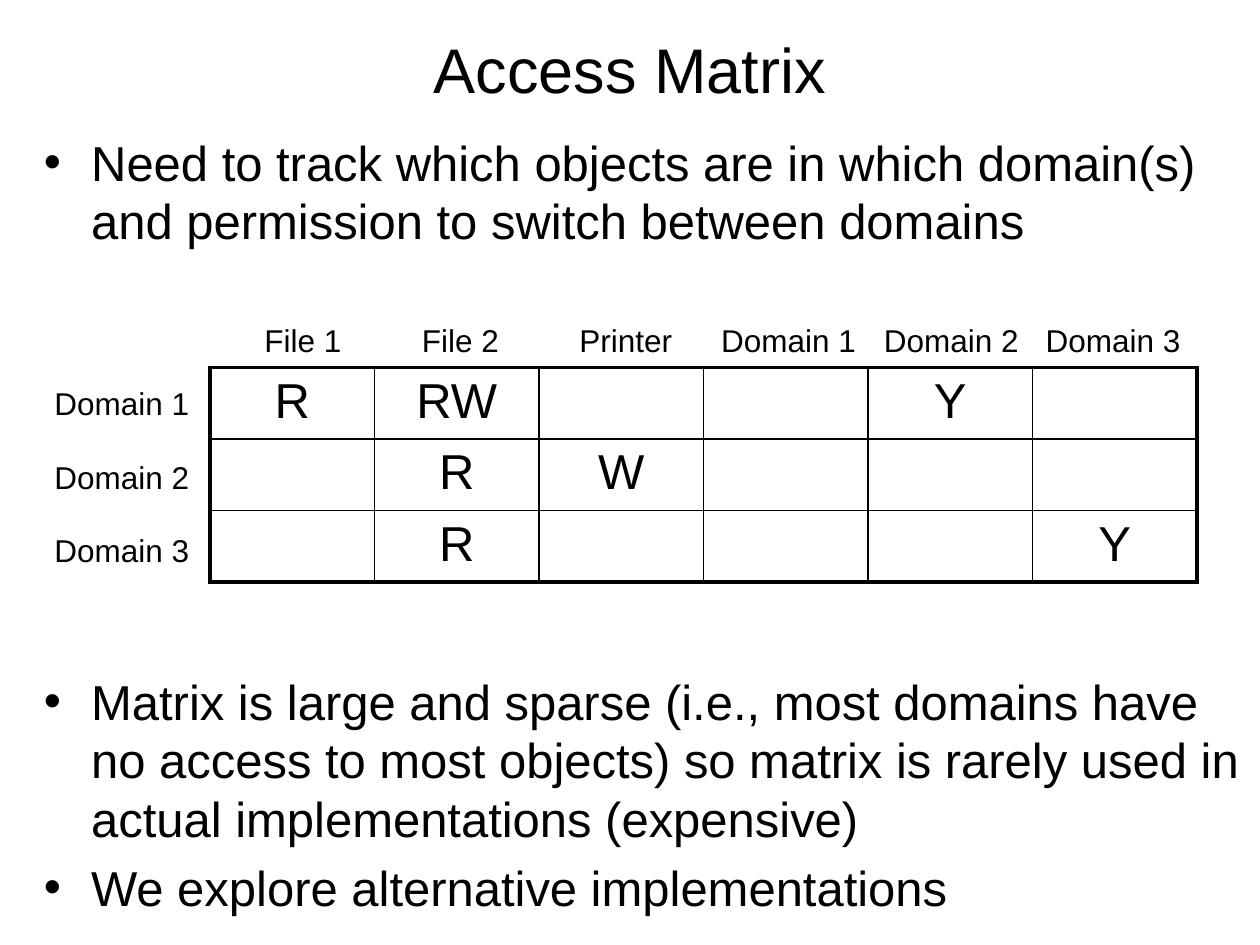
from lxml import etree
from pptx import Presentation
from pptx.dml.color import RGBColor
from pptx.enum.text import MSO_ANCHOR, MSO_AUTO_SIZE, PP_ALIGN
from pptx.oxml.ns import qn
from pptx.util import Pt

CENTER = PP_ALIGN.CENTER
MIDDLE = MSO_ANCHOR.MIDDLE
GROW = MSO_AUTO_SIZE.SHAPE_TO_FIT_TEXT
BLACK = RGBColor(0, 0, 0)

TITLE = "Access Matrix"
BULLETS = [
    ("Need to track which objects are in which domain(s) "
     "and permission to switch between domains", 0),
    ("Matrix is large and sparse (i.e., most domains have no access to most "
     "objects) so matrix is rarely used in actual implementations (expensive)", 240.8),
    ("We explore alternative implementations", 5.6),
]
COLUMNS = [
    ("File 1", 144, 58.3), ("File 2", 234, 58.3), ("Printer", 324, 67.7),
    ("Domain 1", 405, 91.4), ("Domain 2", 498, 91.4), ("Domain 3", 590.4, 91.4),
]
DOMAINS = ["Domain 1", "Domain 2", "Domain 3"]
ACCESS = [
    ["R", "RW", "", "", "Y", ""],
    ["", "R", "W", "", "", ""],
    ["", "R", "", "", "", "Y"],
]
TABLE_LEFT, TABLE_TOP = 120, 210
COL_W, ROW_H = 94, 40.8
LINE_PITCH = 33.6
INDENT = 27
THIN, THICK = 1, 2.25


def add_text(p, text, size):
    r = p.add_run()
    r.text = text
    r.font.name = "Arial"
    r.font.size = Pt(size)
    r.font.color.rgb = BLACK


def add_label(s, text, left, top, width):
    tf = s.shapes.add_textbox(Pt(left), Pt(top), Pt(width), Pt(28.8)).text_frame
    tf.word_wrap = False
    tf.auto_size = GROW
    add_text(tf.paragraphs[0], text, 18)


def add_bullet(p):
    pPr = p._p.get_or_add_pPr()
    pPr.set("marL", str(Pt(INDENT)))
    pPr.set("indent", str(-Pt(INDENT)))
    etree.SubElement(pPr, qn("a:buFont"), typeface="Arial")
    etree.SubElement(pPr, qn("a:buChar"), char="•")


def set_borders(cell, widths):
    tcPr = cell._tc.get_or_add_tcPr()
    for i, (side, width) in enumerate(widths.items()):
        ln = etree.Element(qn("a:ln" + side), w=str(Pt(width)))
        fill = etree.SubElement(ln, qn("a:solidFill"))
        etree.SubElement(fill, qn("a:srgbClr"), val=str(BLACK))
        tcPr.insert(i, ln)


def add_matrix(s):
    rows, cols = len(ACCESS), len(COLUMNS)
    table = s.shapes.add_table(rows, cols, Pt(TABLE_LEFT), Pt(TABLE_TOP),
                               Pt(COL_W * cols), Pt(ROW_H * rows)).table
    table.first_row = False
    table.horz_banding = False
    for i, values in enumerate(ACCESS):
        table.rows[i].height = Pt(ROW_H)
        for j, value in enumerate(values):
            cell = table.cell(i, j)
            cell.fill.background()
            set_borders(cell, {
                "L": THICK if j == 0 else THIN,
                "R": THICK if j == cols - 1 else THIN,
                "T": THICK if i == 0 else THIN,
                "B": THICK if i == rows - 1 else THIN,
            })
            if value:
                p = cell.text_frame.paragraphs[0]
                p.alignment = CENTER
                add_text(p, value, 28)


def main():
    prs = Presentation()
    prs.slide_width, prs.slide_height = Pt(720), Pt(540)
    s = prs.slides.add_slide(prs.slide_layouts[5])

    title = s.shapes.title
    title.left, title.top, title.width, title.height = Pt(36), Pt(12), Pt(648), Pt(54)
    tf = title.text_frame
    tf.vertical_anchor = MIDDLE
    tf.paragraphs[0].alignment = CENTER
    add_text(tf.paragraphs[0], TITLE, 36)

    tf = s.shapes.add_textbox(Pt(18), Pt(72), Pt(702), Pt(468)).text_frame
    tf.word_wrap = True
    for i, (text, gap) in enumerate(BULLETS):
        p = tf.add_paragraph() if i else tf.paragraphs[0]
        p.line_spacing = Pt(LINE_PITCH)
        p.space_before = Pt(gap)
        add_bullet(p)
        add_text(p, text, 28)

    for i, name in enumerate(DOMAINS):
        add_label(s, name, 24, 216 + 42 * i, 91.4)
    for name, left, width in COLUMNS:
        add_label(s, name, left, 180, width)
    add_matrix(s)

    prs.save("out.pptx")


if __name__ == "__main__":
    main()
